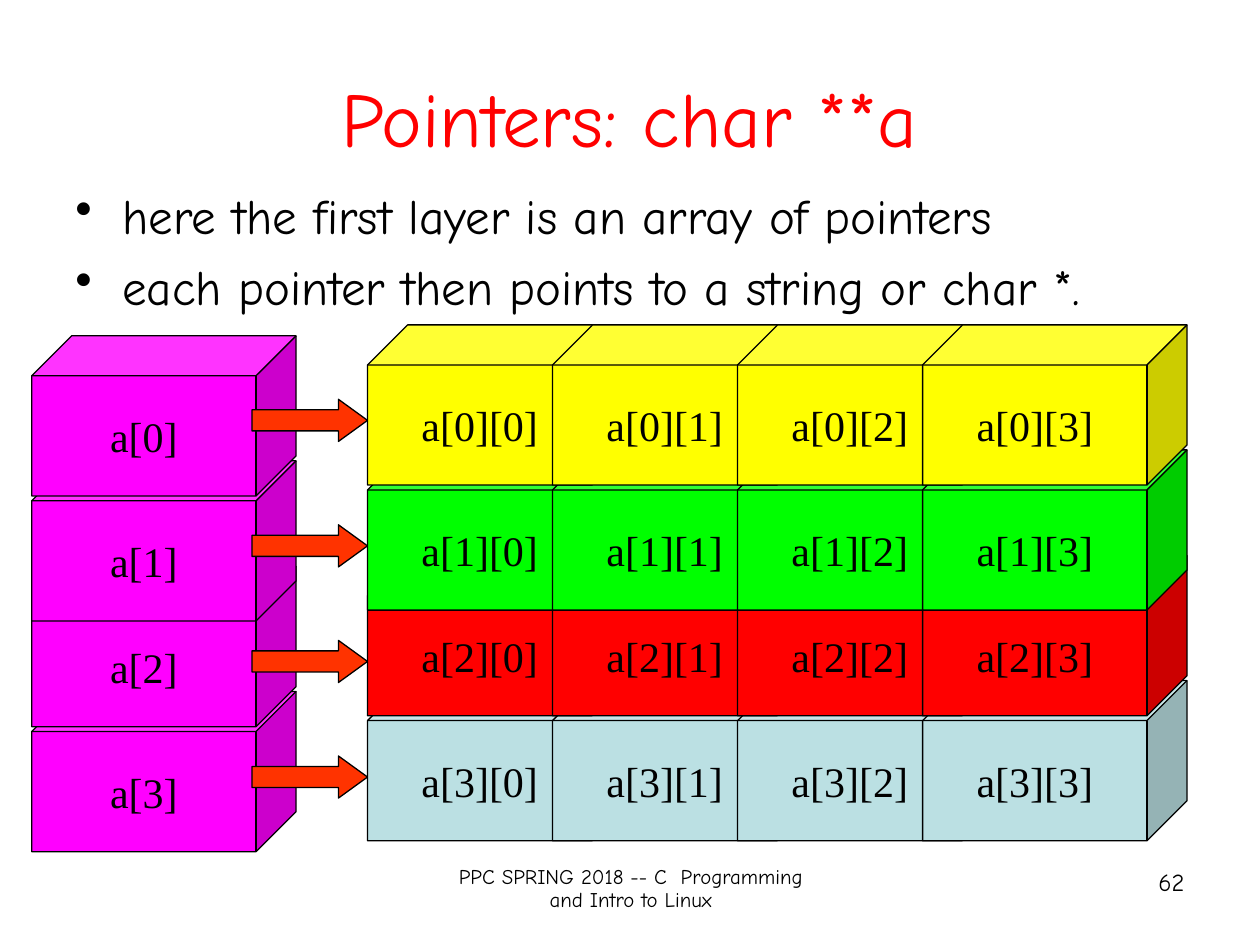
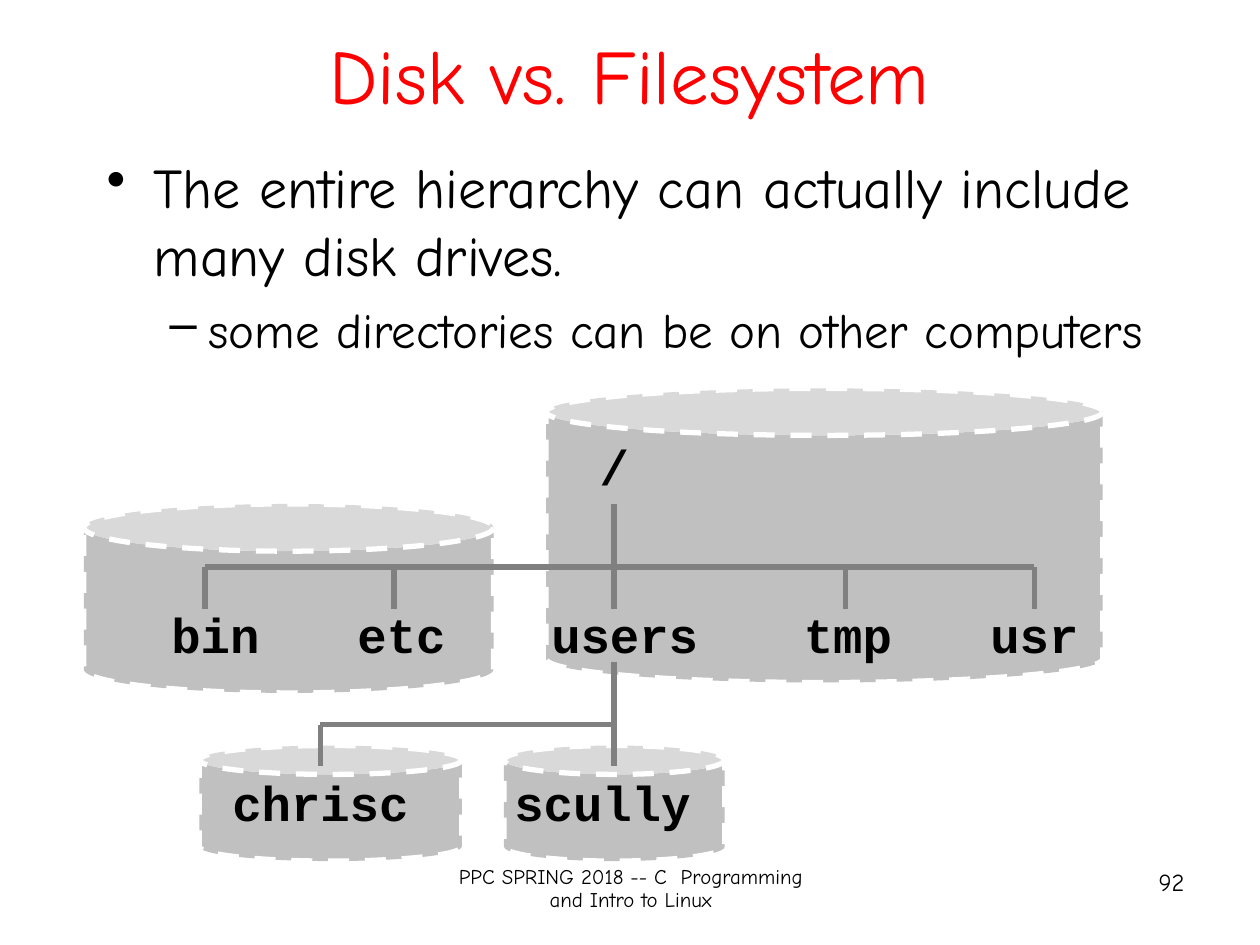
from dataclasses import dataclass

from lxml.etree import SubElement
from pptx import Presentation
from pptx.dml.color import RGBColor
from pptx.enum.dml import MSO_LINE
from pptx.enum.shapes import MSO_CONNECTOR, MSO_SHAPE
from pptx.enum.text import MSO_ANCHOR, PP_ALIGN
from pptx.oxml.ns import qn
from pptx.util import Cm, Pt


@dataclass(frozen=True)
class Theme:
    black: str = "000000"
    white: str = "FFFFFF"
    title: str = "FF0000"
    arrow: str = "FF3300"
    layer: str = "FF00FF"
    rows: tuple = ("FFFF00", "00FF00", "FF0000", "BBE0E3")
    disk: str = "C0C0C0"
    tree: str = "808080"
    sans: str = "Comic Neue"
    serif: str = "Times New Roman"
    mono: str = "Courier New"
    head: float = 44
    large: float = 32
    body: float = 28
    cell: float = 24
    page: float = 14
    foot: float = 11.9
    thin: float = 0.75
    thick: float = 3


FOOTER = "PPC SPRING 2018 -- C  Programming and Intro to Linux"
# Bullet sign, left margin and hanging indent in cm, for each level
LEVELS = (("•", 0.95, -0.95), ("–", 2.06, -0.79))


class Deck:
    def __init__(self, theme):
        self.theme = theme
        self.file = Presentation()
        self.file.slide_width, self.file.slide_height = Cm(25.4), Cm(19.05)
        self.slide = None

    def start(self, title, box, page):
        """Add a slide with its title and footers."""
        t = self.theme
        self.slide = self.file.slides.add_slide(self.file.slide_layouts[6])
        foot = self.text(FOOTER, (8.69, 17.35, 8.05, 1.32), t.foot)
        foot.paragraphs[0].line_spacing = 0.9
        self.text(page, (18.21, 17.35, 5.92, 1.32), t.page, align=PP_ALIGN.RIGHT)
        frame = self.text(title, box, t.head, color=t.title)
        frame.vertical_anchor = MSO_ANCHOR.MIDDLE

    def run(self, par, text, size, font=None, color=None, bold=False):
        run = par.add_run()
        run.text = text
        run.font.size, run.font.bold = Pt(size), bold
        run.font.name = font or self.theme.sans
        run.font.color.rgb = RGBColor.from_string(color or self.theme.black)

    def frame(self, box):
        frame = self.slide.shapes.add_textbox(*map(Cm, box)).text_frame
        frame.word_wrap = True
        return frame

    def text(self, text, box, size, align=PP_ALIGN.CENTER, **style):
        frame = self.frame(box)
        par = frame.paragraphs[0]
        par.alignment = align
        self.run(par, text, size, **style)
        return frame

    def label(self, text, box):
        self.text(text, box, self.theme.body, font=self.theme.mono, bold=True)

    def bullets(self, box, items):
        """Each item is a text, its level and its type size."""
        frame = self.frame(box)
        for i, (text, level, size) in enumerate(items):
            par = frame.add_paragraph() if i else frame.paragraphs[0]
            par.level = level
            sign, left, hang = LEVELS[level]
            props = par._p.get_or_add_pPr()
            props.set("marL", str(Cm(left)))
            props.set("indent", str(Cm(hang)))
            tint = SubElement(props, qn("a:buClr"))
            SubElement(tint, qn("a:srgbClr"), val=self.theme.black)
            SubElement(props, qn("a:buChar"), char=sign)
            if i:
                par.space_before = Pt(7)
            self.run(par, text, size)

    def shape(self, kind, box, fill, line, width, adjust):
        shape = self.slide.shapes.add_shape(kind, *map(Cm, box))
        shape.shadow.inherit = False
        shape.fill.solid()
        shape.fill.fore_color.rgb = RGBColor.from_string(fill)
        shape.line.color.rgb = RGBColor.from_string(line)
        shape.line.width = Pt(width)
        for i, value in enumerate(adjust):
            shape.adjustments[i] = value
        return shape

    def cube(self, text, left, top, fill):
        t = self.theme
        box = (left, top, 5.33, 3.23)
        cube = self.shape(MSO_SHAPE.CUBE, box, fill, t.black, t.thin, [0.25])
        frame = cube.text_frame
        frame.word_wrap = False
        frame.vertical_anchor = MSO_ANCHOR.MIDDLE
        par = frame.paragraphs[0]
        par.alignment = PP_ALIGN.CENTER
        self.run(par, text, t.cell, font=t.serif)

    def arrow(self, top):
        t = self.theme
        box = (5.08, top, 2.33, 0.85)
        self.shape(MSO_SHAPE.RIGHT_ARROW, box, t.arrow, t.black, t.thin, [0.5, 0.69])

    def disk(self, box, bend=0.25):
        t = self.theme
        can = self.shape(MSO_SHAPE.CAN, box, t.disk, t.white, t.thick, [bend])
        can.line.dash_style = MSO_LINE.DASH

    def line(self, *ends):
        line = self.slide.shapes.add_connector(MSO_CONNECTOR.STRAIGHT, *map(Cm, ends))
        line.line.color.rgb = RGBColor.from_string(self.theme.tree)
        line.line.width = Pt(self.theme.thick)
        SubElement(line._element.spPr, qn("a:effectLst"))

    def branch(self, root, top, bar, end, twigs):
        """Draw a stem from root to a bar, and a twig down to each child."""
        self.line(root, top, root, bar)
        self.line(min(twigs), bar, max(twigs), bar)
        for x in twigs:
            self.line(x, bar, x, end)


def pointers(deck):
    t = deck.theme
    deck.start("Pointers: char **a", (1.27, 0.76, 22.86, 3.18), "62")
    deck.bullets((1.27, 3.61, 21.59, 3.38), [
        ("here the first layer is an array of pointers", 0, t.body),
        ("each pointer then points to a string or char *.", 0, t.body),
    ])
    tops = (6.55, 9.07, 11.2, 13.72)
    rows = list(enumerate(zip(tops, t.rows)))[::-1]  # lowest row lies at the back
    for row, (top, _) in rows:
        deck.cube(f"a[{row}]", 0.64, top + 0.22, t.layer)
    for top in (8.05, 10.58, 12.91, 15.24):
        deck.arrow(top)
    for row, (top, fill) in rows:
        for col in range(4):
            deck.cube(f"a[{row}][{col}]", 7.41 + 3.73 * col, top, fill)


def disks(deck):
    t = deck.theme
    deck.start("Disk vs. Filesystem", (1.9, 0.64, 21.59, 1.7), "92")
    deck.disk((11.01, 7.83, 11.22, 5.93), 0.16)
    for box in ((10.16, 15.03, 4.45, 2.33), (4.02, 15.03, 5.29, 2.33),
                (1.69, 10.16, 8.26, 3.81)):
        deck.disk(box)
    deck.bullets((1.9, 2.96, 21.59, 4.66), [
        ("The entire hierarchy can actually include many disk drives.", 0, t.large),
        ("some directories can be on other computers", 1, t.body),
    ])
    deck.label("/", (11.54, 8.68, 1.69, 1.45))
    for name, left, width in (("bin", 3.18, 2.33), ("etc", 6.93, 2.33),
                              ("users", 10.69, 3.81), ("tmp", 15.93, 2.33),
                              ("usr", 19.69, 2.33)):
        deck.label(name, (left, 12.07, width, 1.45))
    deck.label("chrisc", (3.92, 15.45, 5.08, 1.45))
    deck.label("scully", (9.63, 15.45, 5.03, 1.45))
    root = 12.38
    deck.branch(root, 10.16, 11.43, 12.28, (4.13, 7.94, root, 17.04, 20.85))
    deck.branch(root, 13.34, 14.61, 15.45, (6.46, root))


def main():
    deck = Deck(Theme())
    pointers(deck)
    disks(deck)
    deck.file.save("out.pptx")


if __name__ == "__main__":
    main()
